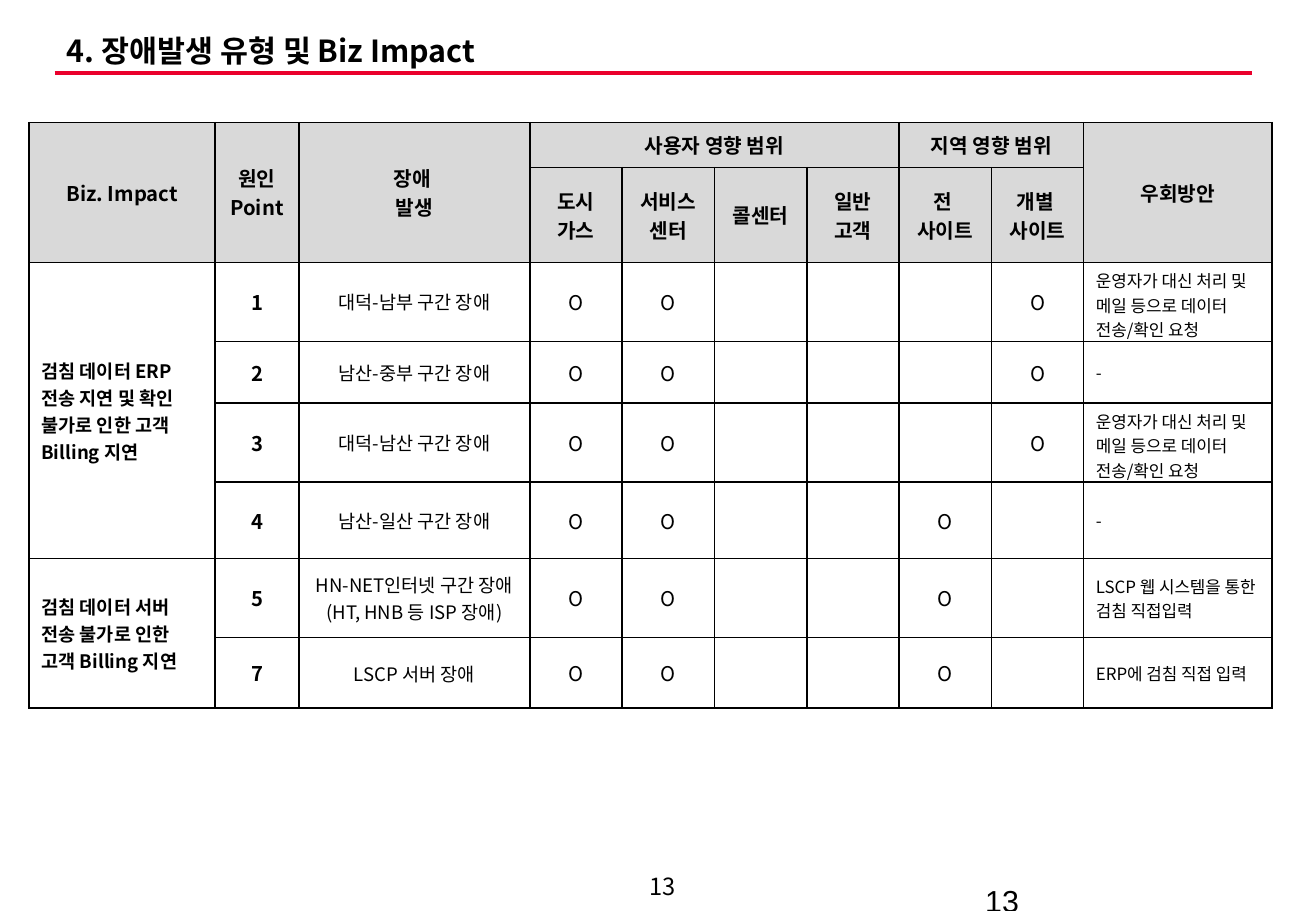
from dataclasses import dataclass

import pptx
import pptx.dml.color
import pptx.enum.shapes
import pptx.enum.text
import pptx.oxml
import pptx.oxml.ns
import pptx.slide
import pptx.table
import pptx.text.text
import pptx.util

Align = pptx.enum.text.PP_ALIGN
Anchor = pptx.enum.text.MSO_ANCHOR
qn = pptx.oxml.ns.qn


@dataclass(frozen=True)
class Theme:
    ink: str = "000000"
    red: str = "EA002C"
    gray: str = "D9D9D9"
    white: str = "FFFFFF"
    font: str = "Noto Sans CJK KR"
    plain: str = "Arial"
    title: int = 18
    page: int = 14
    head: int = 12
    body: int = 11
    note: int = 10


@dataclass(frozen=True)
class Head:
    text: str
    row: int
    col: int
    rows: int = 1
    cols: int = 1


@dataclass(frozen=True)
class Fault:
    point: str
    text: str
    site: int
    detour: str


@dataclass(frozen=True)
class Impact:
    text: str
    faults: tuple[Fault, ...]


@dataclass(frozen=True)
class Page:
    box: tuple[int, int, int, int]
    size: int
    font: str
    align: Align
    anchor: Anchor


THEME = Theme()
PX = 9144  # 100 px to the inch
ALL, ONE = 7, 8  # columns for every site and for a single site
USERS = (3, 4)  # columns for city gas and service centre
COLS = (153, 69, 190, *[76] * 6, 155)
ROWS = (37, 78, 65, 51, 65, 63, 65, 58)

HEADS = (
    Head("Biz. Impact", 0, 0, rows=2),
    Head("원인Point", 0, 1, rows=2),
    Head("장애 \n발생", 0, 2, rows=2),
    Head("사용자 영향 범위", 0, 3, cols=4),
    Head("지역 영향 범위", 0, ALL, cols=2),
    Head("우회방안", 0, 9, rows=2),
    Head("도시\n가스", 1, 3),
    Head("서비스\n센터", 1, 4),
    Head("콜센터", 1, 5),
    Head("일반\n고객", 1, 6),
    Head("전 \n사이트", 1, ALL),
    Head("개별 \n사이트", 1, ONE),
)

PROXY = "운영자가 대신 처리 및 메일 등으로 데이터 전송/확인 요청"
IMPACTS = (
    Impact("검침 데이터 ERP 전송 지연 및 확인 불가로 인한 고객 Billing 지연", (
        Fault("1", "대덕-남부 구간 장애", ONE, PROXY),
        Fault("2", "남산-중부 구간 장애", ONE, "-"),
        Fault("3", "대덕-남산 구간 장애", ONE, PROXY),
        Fault("4", "남산-일산 구간 장애", ALL, "-"),
    )),
    Impact("검침 데이터 서버 전송 불가로 인한 고객 Billing 지연", (
        Fault("5", "HN-NET인터넷 구간 장애\n(HT, HNB 등 ISP 장애)", ALL,
              "LSCP 웹 시스템을 통한 검침 직접입력"),
        Fault("7", "LSCP 서버 장애", ALL, "ERP에 검침 직접 입력"),
    )),
)

PAGES = (
    Page((510, 714, 71, 31), THEME.page, THEME.font, Align.CENTER, Anchor.MIDDLE),
    Page((801, 721, 253, 24), THEME.title, THEME.plain, Align.LEFT, Anchor.TOP),
)


def px(size: int) -> pptx.util.Emu:
    return pptx.util.Emu(size * PX)


def rgb(code: str) -> pptx.dml.color.RGBColor:
    return pptx.dml.color.RGBColor.from_string(code)


def write(frame: pptx.text.text.TextFrame, text: str, size: int,
          bold: bool = False, align: Align = Align.CENTER,
          face: str = THEME.font) -> None:
    frame.text = text
    for para in frame.paragraphs:
        para.alignment = align
        font = para.font
        font.size = pptx.util.Pt(size)
        font.bold = bold
        font.color.rgb = rgb(THEME.ink)
        font.name = face
        props = para._p.pPr.find(qn("a:defRPr"))
        east = props.makeelement(qn("a:ea"), {"typeface": face})
        props.find(qn("a:latin")).addnext(east)


def frame_cell(cell: pptx.table._Cell, fill: str) -> None:
    """Give the cell its fill and a thin line on all four sides."""
    props = cell._tc.get_or_add_tcPr()
    for side in "LRTB":
        props.append(pptx.oxml.parse_xml(
            f'<a:ln{side} {pptx.oxml.ns.nsdecls("a")} w="12700">'
            f'<a:solidFill><a:srgbClr val="{THEME.ink}"/></a:solidFill>'
            f'</a:ln{side}>'))
    cell.fill.solid()
    cell.fill.fore_color.rgb = rgb(fill)
    cell.vertical_anchor = Anchor.MIDDLE


def add_grid(slide: pptx.slide.Slide) -> pptx.table.Table:
    grid = slide.shapes.add_table(len(ROWS), len(COLS), px(24), px(101),
                                  px(sum(COLS)), px(sum(ROWS))).table
    grid.first_row = grid.horz_banding = False
    for col, width in zip(grid.columns, COLS):
        col.width = px(width)
    for i, (row, height) in enumerate(zip(grid.rows, ROWS)):
        row.height = px(height)
        for cell in row.cells:
            frame_cell(cell, THEME.gray if i < 2 else THEME.white)
    return grid


def fill_heads(grid: pptx.table.Table) -> None:
    for head in HEADS:
        cell = grid.cell(head.row, head.col)
        if head.rows * head.cols > 1:
            cell.merge(grid.cell(head.row + head.rows - 1,
                                 head.col + head.cols - 1))
        write(cell.text_frame, head.text, THEME.head, bold=True)


def fill_faults(grid: pptx.table.Table) -> None:
    row = 2
    for impact in IMPACTS:
        cell = grid.cell(row, 0)
        cell.merge(grid.cell(row + len(impact.faults) - 1, 0))
        write(cell.text_frame, impact.text, THEME.body, True, Align.LEFT)
        for fault in impact.faults:
            write(grid.cell(row, 1).text_frame, fault.point, THEME.head, True)
            write(grid.cell(row, 2).text_frame, fault.text, THEME.body)
            for col in (*USERS, fault.site):
                write(grid.cell(row, col).text_frame, "O", THEME.head)
            write(grid.cell(row, 9).text_frame, fault.detour, THEME.note,
                  align=Align.LEFT)
            row += 1


def add_page(slide: pptx.slide.Slide, page: Page) -> None:
    frame = slide.shapes.add_textbox(*map(px, page.box)).text_frame
    frame.word_wrap = True
    frame.vertical_anchor = page.anchor
    write(frame, "13", page.size, align=page.align, face=page.font)


def add_rule(slide: pptx.slide.Slide) -> None:
    rule = slide.shapes.add_connector(
        pptx.enum.shapes.MSO_CONNECTOR.STRAIGHT,
        px(45), px(60), px(1030), px(60))
    rule.line.color.rgb = rgb(THEME.red)
    rule.line.width = pptx.util.Pt(2.25)
    props = rule._element.spPr
    props.append(props.makeelement(qn("a:effectLst"), {}))


def set_title(slide: pptx.slide.Slide) -> None:
    title = slide.shapes.title
    title.left, title.top, title.width, title.height = map(px, (45, 25, 953, 37))
    frame = title.text_frame
    frame.vertical_anchor = Anchor.MIDDLE
    frame.auto_size = pptx.enum.text.MSO_AUTO_SIZE.SHAPE_TO_FIT_TEXT
    write(frame, "4. 장애발생 유형 및 Biz Impact", THEME.title, True, Align.LEFT)
    frame.paragraphs[0].line_spacing = 0.9


def main() -> None:
    deck = pptx.Presentation()
    deck.slide_width, deck.slide_height = px(1083), px(750)
    slide = deck.slides.add_slide(deck.slide_layouts[5])
    set_title(slide)
    add_rule(slide)
    for page in PAGES:
        add_page(slide, page)
    grid = add_grid(slide)
    fill_heads(grid)
    fill_faults(grid)
    deck.save("out.pptx")


if __name__ == "__main__":
    main()
